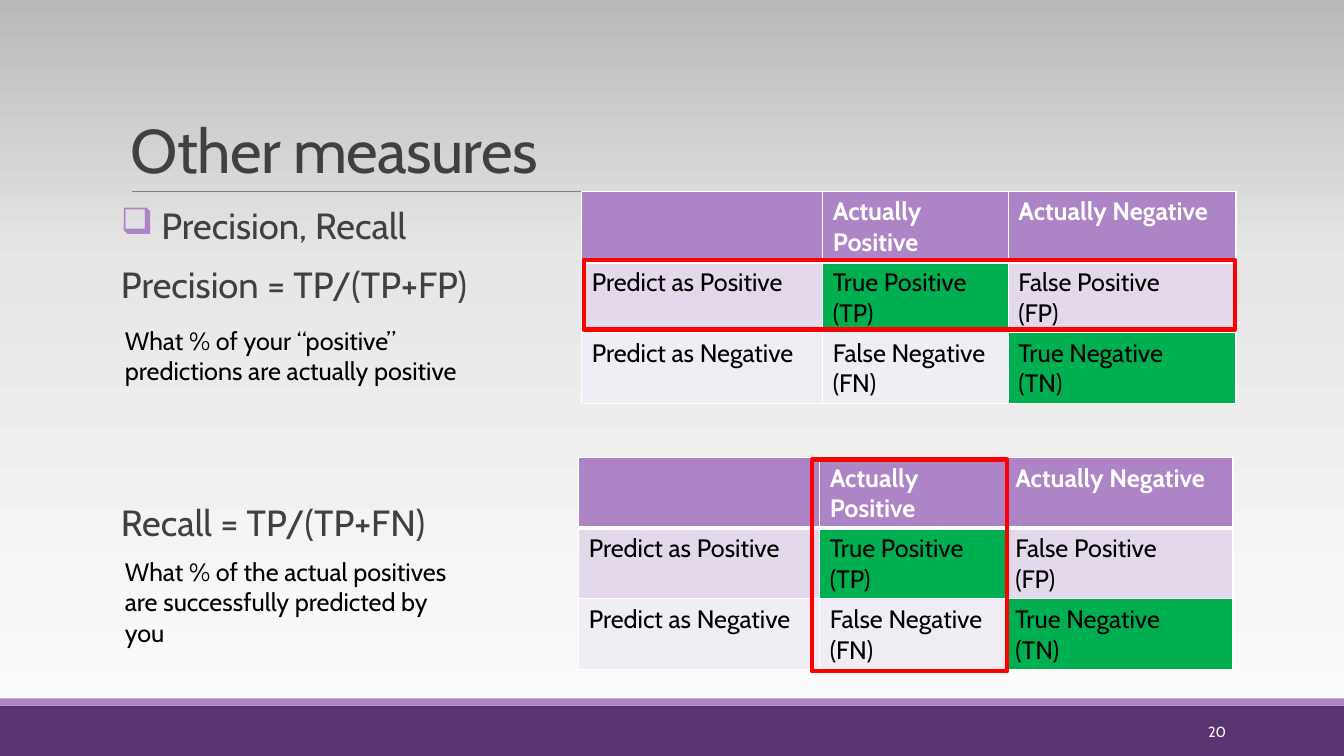
from lxml import etree
from pptx import Presentation
from pptx.dml.color import RGBColor
from pptx.enum.shapes import MSO_CONNECTOR, MSO_SHAPE
from pptx.enum.text import MSO_ANCHOR, PP_ALIGN
from pptx.oxml.ns import qn
from pptx.util import Inches, Pt

FONT = "Cabin"
COLORS = {
    "purple": "5A3471", "lilac": "AD84C6", "rule": "808080", "grey": "404040",
    "black": "000000", "white": "FFFFFF", "green": "00B050", "red": "FF0000",
    "row_dark": "E3D9EA", "row_light": "F1EDF5",
    "bg_low": "FEFEFE", "bg_mid": "E7E7E7", "bg_high": "B9B9B9",
}
COL_WIDTHS = [2.39, 1.84, 2.26]
ROW_HEIGHT = 0.7
MATRIX = [
    [("", "lilac"), ("Actually Positive", "lilac"), ("Actually Negative", "lilac")],
    [("Predict as Positive", "row_dark"), ("True Positive (TP)", "green"),
     ("False Positive\n(FP)", "row_dark")],
    [("Predict as Negative", "row_light"), ("False Negative (FN)", "row_light"),
     ("True Negative\n(TN)", "green")],
]


def rgb(name):
    return RGBColor.from_string(COLORS[name])


def inches(box):
    return [Inches(v) for v in box]


def add_sub(parent, tag, **attrs):
    return etree.SubElement(parent, qn(tag), attrs)


def style(p, size, color, bold=False):
    values = {"name": FONT, "size": Pt(size), "bold": bold}
    for r in p.runs:
        for key, value in values.items():
            setattr(r.font, key, value)
        r.font.color.rgb = rgb(color)


def add_text(s, box, lines, size, color, frame=None, para=None):
    tf = s.shapes.add_textbox(*inches(box)).text_frame
    tf.word_wrap = True
    for key, value in (frame or {}).items():
        setattr(tf, key, value)
    tf.text = "\n".join(lines)
    for i, p in enumerate(tf.paragraphs):
        for key, value in (para or {}).items():
            if i or key != "space_before":
                setattr(p, key, value)
        style(p, size, color)
    return tf


def add_rect(s, box, fill=None, line=None):
    sp = s.shapes.add_shape(MSO_SHAPE.RECTANGLE, *inches(box))
    sp.shadow.inherit = False
    if fill:
        sp.fill.solid()
        sp.fill.fore_color.rgb = rgb(fill)
    else:
        sp.fill.background()
    if line:
        sp.line.color.rgb = rgb(line)
        sp.line.width = Pt(3)
    else:
        sp.line.fill.background()


def add_background(s):
    fill = s.background.fill
    fill.gradient()
    fill.gradient_angle = 90
    stops = next(s.element.iter(qn("a:gsLst")))
    for stop in list(stops):
        stops.remove(stop)
    for pos, name in [(0, "bg_low"), (65, "bg_mid"), (100, "bg_high")]:
        gs = add_sub(stops, "a:gs", pos=str(pos * 1000))
        add_sub(gs, "a:srgbClr", val=COLORS[name])


def add_footer(s, left, top, width, height):
    band = 0.07
    add_rect(s, (left, top + band, width, height - band), "purple")
    add_rect(s, (left, top, width, band), "lilac")
    add_text(s, (left + width - 2.5, top + 0.13, 1.43, 0.4), ["20"], 10.5, "white",
             {"vertical_anchor": MSO_ANCHOR.MIDDLE}, {"alignment": PP_ALIGN.RIGHT})


def add_title(s, left, top, width, height):
    tf = add_text(s, (left, top, width, height), ["Other measures"], 44, "grey",
                  {"vertical_anchor": MSO_ANCHOR.BOTTOM}, {"line_spacing": 0.85})
    tf.paragraphs[0].runs[0].font._element.set("spc", "-50")
    # Rule under the title
    y = top + height
    rule = s.shapes.add_connector(MSO_CONNECTOR.STRAIGHT,
                                  *inches((left + 0.11, y, left + 11.01, y)))
    rule.line.color.rgb = rgb("rule")
    rule.line.width = Pt(0.5)
    add_sub(rule._element.spPr, "a:effectLst")


def add_measure(s, left, top, width, lines, note, note_gap):
    """Formula lines with an explanation below them."""
    tf = add_text(s, (left, top, width, 0.5 * len(lines)), lines, 26, "grey",
                  {"margin_left": 0, "margin_right": 0},
                  {"line_spacing": 0.9, "space_before": Pt(12), "space_after": Pt(2)})
    add_text(s, (left - 0.06, top + note_gap, width, 0.71), [note], 18, "black")
    return tf


def add_bullet(p):
    indent = Inches(0.4)
    pPr = p._p.get_or_add_pPr()
    pPr.set("marL", str(indent))
    pPr.set("indent", str(-indent))
    add_sub(add_sub(pPr, "a:buClr"), "a:srgbClr", val=COLORS["lilac"])
    add_sub(pPr, "a:buChar", char="❑")


def add_borders(cell, row):
    tcPr = cell._tc.get_or_add_tcPr()
    thick = {0: "a:lnB", 1: "a:lnT"}.get(row)
    for i, tag in enumerate(["a:lnL", "a:lnR", "a:lnT", "a:lnB"]):
        ln = etree.Element(qn(tag), w=str(Pt(3 if tag == thick else 1)))
        add_sub(add_sub(ln, "a:solidFill"), "a:srgbClr", val=COLORS["white"])
        tcPr.insert(i, ln)


def add_matrix(s, left, top):
    box = (left, top, sum(COL_WIDTHS), ROW_HEIGHT * len(MATRIX))
    table = s.shapes.add_table(len(MATRIX), len(COL_WIDTHS), *inches(box)).table
    for col, width in zip(table.columns, COL_WIDTHS):
        col.width = Inches(width)
    for i, row in enumerate(MATRIX):
        table.rows[i].height = Inches(ROW_HEIGHT)
        for j, (text, fill) in enumerate(row):
            cell = table.cell(i, j)
            cell.text = text
            cell.fill.solid()
            cell.fill.fore_color.rgb = rgb(fill)
            add_borders(cell, i)
            for p in cell.text_frame.paragraphs:
                style(p, 18, "black" if i else "white", bold=i == 0)


def main():
    prs = Presentation()
    prs.slide_width, prs.slide_height = Inches(13.33), Inches(7.5)
    s = prs.slides.add_slide(prs.slide_layouts[6])
    add_background(s)
    add_footer(s, 0, 6.93, 13.33, 0.57)
    add_title(s, 1.2, 0.31, 11, 1.59)

    # Precision and recall formulas
    tf = add_measure(s, 1.2, 2.02, 3.59, ["Precision, Recall", "Precision = TP/(TP+FP)"],
                     "What % of your “positive” predictions are actually positive", 1.16)
    add_bullet(tf.paragraphs[0])
    add_measure(s, 1.2, 4.96, 3.59, ["Recall = TP/(TP+FN)"],
                "What % of the actual positives are successfully predicted by you", 0.51)

    # Confusion matrices with the relevant row and column framed
    add_matrix(s, 5.77, 1.9)
    add_matrix(s, 5.74, 4.54)
    add_rect(s, (5.79, 2.58, 6.46, 0.69), line="red")
    add_rect(s, (8.05, 4.56, 1.94, 2.1), line="red")
    prs.save("out.pptx")


if __name__ == "__main__":
    main()
